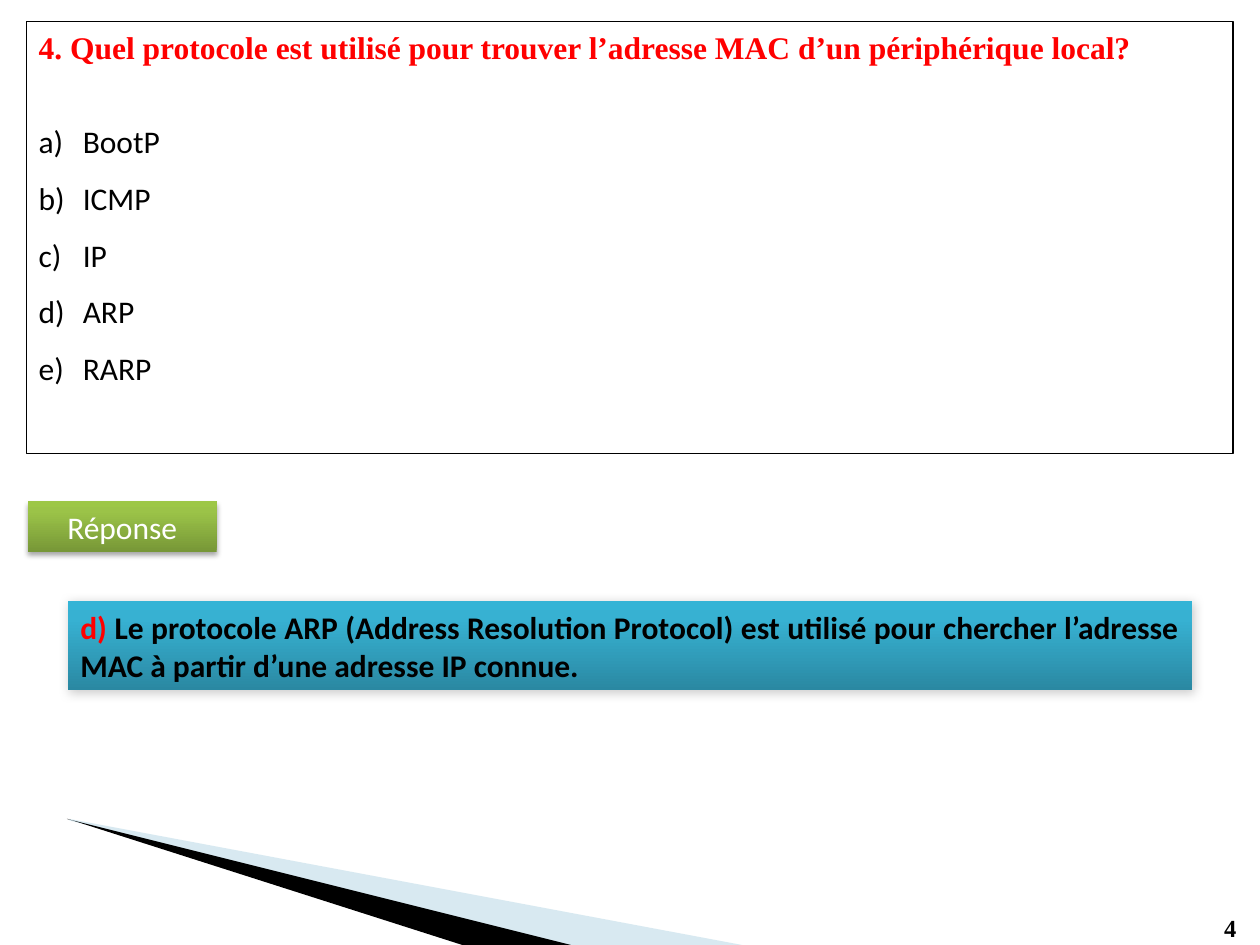
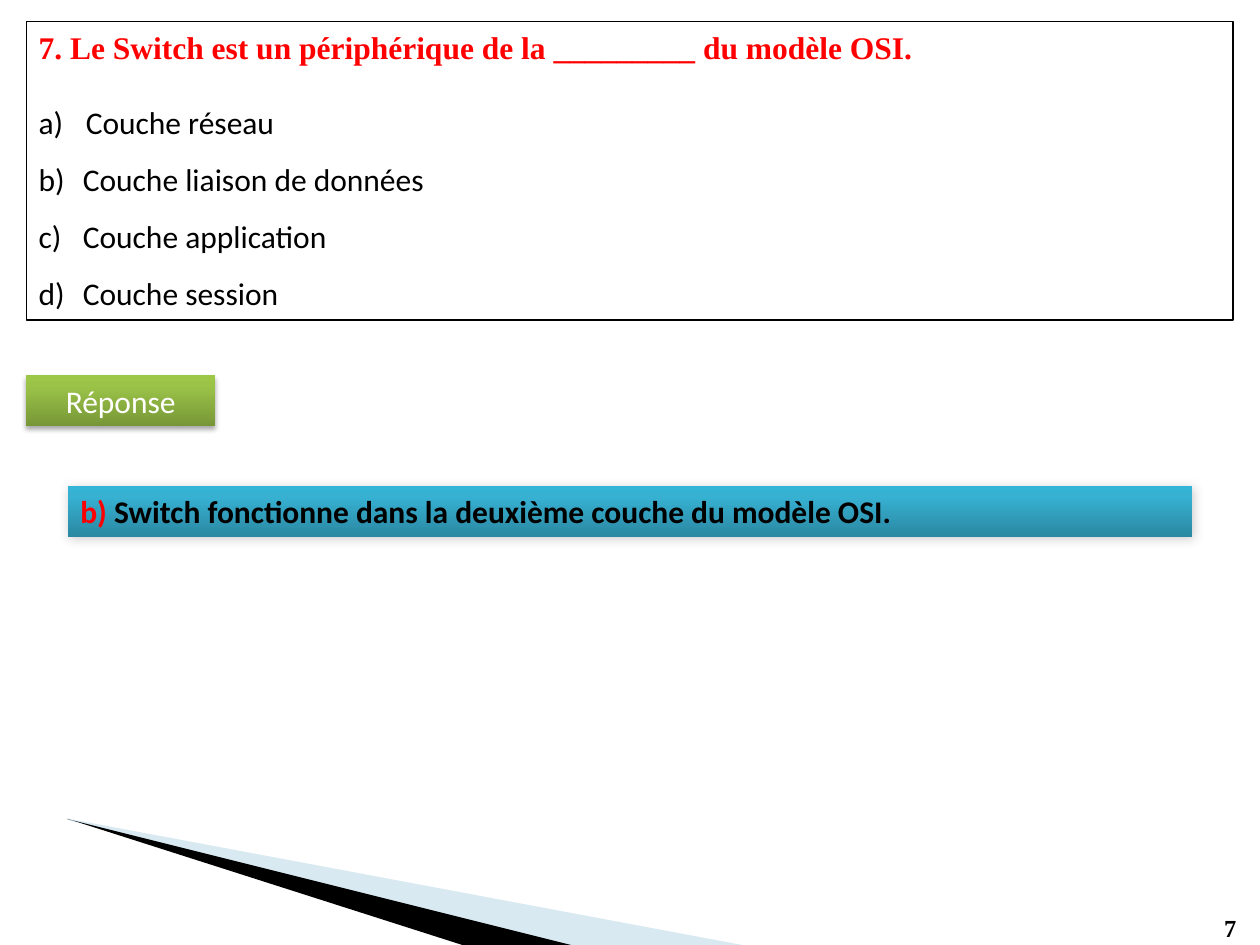
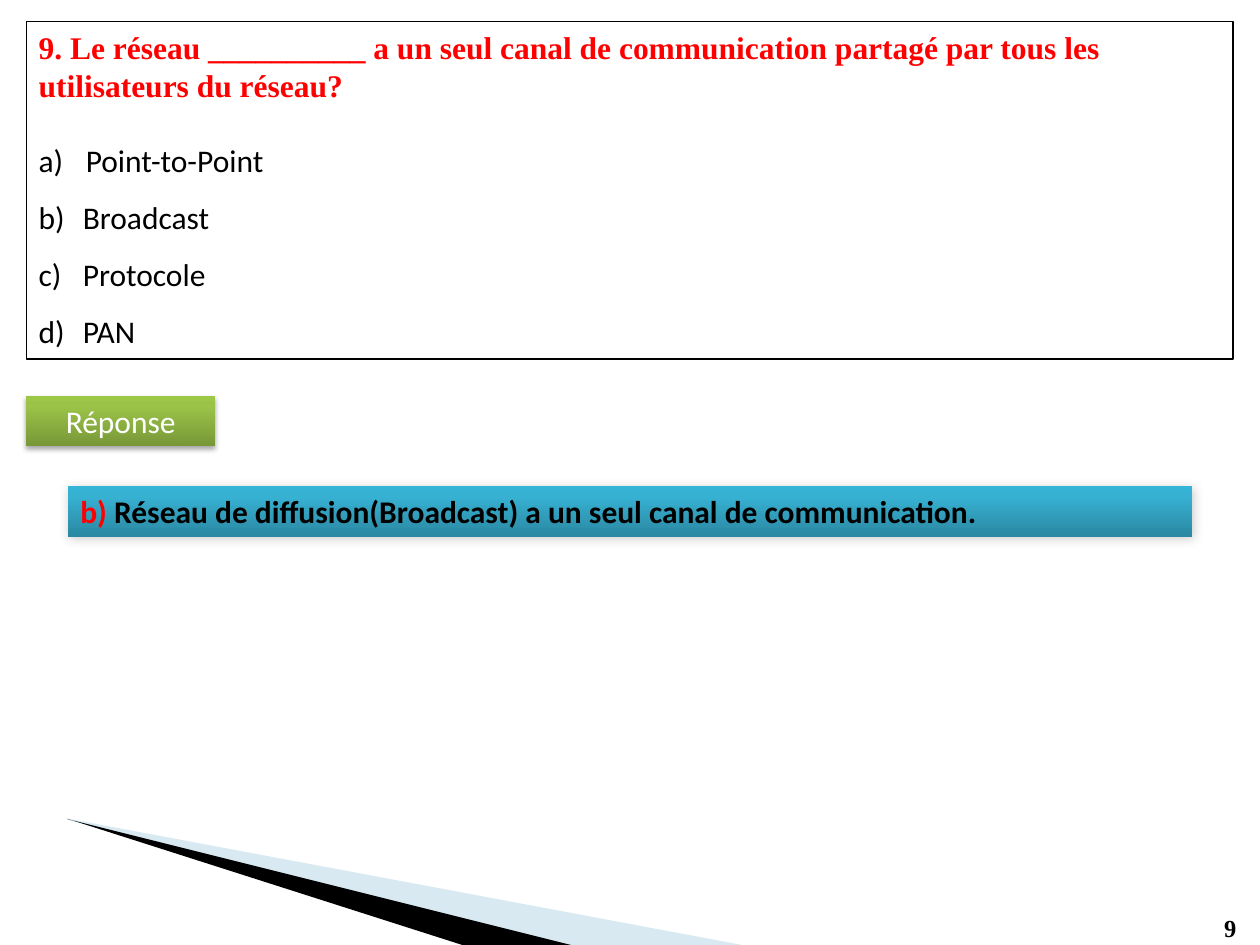
from lxml import etree
from pptx import Presentation
from pptx.dml.color import RGBColor
from pptx.enum.shapes import MSO_SHAPE
from pptx.enum.text import MSO_ANCHOR, PP_ALIGN
from pptx.oxml import parse_xml
from pptx.oxml.ns import nsdecls, qn
from pptx.util import Cm, Pt

RECTANGLE = MSO_SHAPE.RECTANGLE
TOP, MIDDLE = MSO_ANCHOR.TOP, MSO_ANCHOR.MIDDLE
LEFT, CENTER, JUSTIFY = PP_ALIGN.LEFT, PP_ALIGN.CENTER, PP_ALIGN.JUSTIFY

COLORS = {"black": "000000", "white": "FFFFFF", "red": "FF0000", "pale": "9FCADC"}
BODY_FONT, TITLE_FONT = "Calibri", "Times New Roman"
TITLE_LINE = Pt(21.7)

# Gradient stops run from the bottom edge to the top edge
GREEN = [(0, "779737"), (80, "9BC348"), (100, "9DC746")]
BLUE = [(0, "2A88A2"), (80, "37B1D2"), (100, "34B4D6")]
# Blur and distance in points, angle in degrees, opacity in percent
LABEL_SHADOW = (3.1, 1.8, 90, 35)
ANSWER_SHADOW = (6, 1, 45, 20)

WEDGES = [
    ("pale", 40, [(1.4, 16.51), (14.96, 19.05), (11.46, 19.05), (1.4, 16.54)]),
    ("black", 100, [(1.35, 16.51), (1.37, 16.51), (9.32, 19.05), (11.51, 19.05)]),
]

QUESTIONS = [
    {
        "number": "4",
        "title": "4. Quel protocole est utilisé pour trouver l’adresse MAC d’un périphérique local?",
        "options": ["BootP", "ICMP", "IP", "ARP", "RARP"],
        "first_spacing": 1.5, "first_indent": 0.89, "height": 8.71,
        "label_at": (0.56, 10.11),
        "answer": ("d) ", "Le protocole ARP (Address Resolution Protocol) est utilisé pour "
                          "chercher l’adresse MAC à partir d’une adresse IP connue."),
        "answer_top": 12.12, "answer_height": 1.8,
    },
    {
        "number": "7",
        "title": "7. Le Switch est un périphérique de la _________ du modèle OSI.",
        "options": ["Couche réseau", "Couche liaison de données", "Couche application",
                    "Couche session"],
        "first_spacing": 1.0, "first_indent": 0.95, "height": 6.02,
        "label_at": (0.53, 7.57),
        "answer": ("b) ", "Switch fonctionne dans la deuxième couche du modèle OSI."),
        "answer_top": 9.8, "answer_height": 1.02,
    },
    {
        "number": "9",
        "title": "9. Le réseau __________ a un seul canal de communication partagé par tous "
                 "les utilisateurs du réseau?",
        "options": ["Point-to-Point", "Broadcast", "Protocole", "PAN"],
        "first_spacing": 1.0, "first_indent": 0.95, "height": 6.81,
        "label_at": (0.53, 7.98),
        "answer": ("b)", " Réseau de diffusion(Broadcast) a un seul canal de communication."),
        "answer_top": 9.8, "answer_height": 1.02,
    },
]


def write(para, text, color="black", font=BODY_FONT, size=18, bold=False, align=LEFT):
    para.alignment = align
    span = para.add_run()
    span.text = text
    span.font.name = font
    span.font.size = Pt(size)
    span.font.bold = bold
    span.font.color.rgb = RGBColor.from_string(COLORS[color])


def add_box(page, left, top, width, height, stops=None, shadow=None):
    """Add an outlined box, or one with a gradient and a shadow when both are given."""
    box = page.shapes.add_shape(RECTANGLE, Cm(left), Cm(top), Cm(width), Cm(height))
    box.shadow.inherit = False
    box.text_frame.word_wrap = True
    box.text_frame.vertical_anchor = MIDDLE if stops else TOP
    if not stops:
        box.fill.background()
        box.line.color.rgb = RGBColor.from_string(COLORS["black"])
        box.line.width = Pt(0.75)
        return box
    box.line.fill.background()
    properties = box.fill._xPr
    marks = "".join(f'<a:gs pos="{place * 1000}"><a:srgbClr val="{color}"/></a:gs>'
                    for place, color in stops)
    properties.find(qn("a:prstGeom")).addnext(parse_xml(
        f'<a:gradFill {nsdecls("a")} rotWithShape="1"><a:gsLst>{marks}</a:gsLst>'
        '<a:lin ang="16200000" scaled="0"/></a:gradFill>'))
    blur, distance, angle, opacity = shadow
    properties.find(qn("a:effectLst")).append(parse_xml(
        f'<a:outerShdw {nsdecls("a")} blurRad="{Pt(blur)}" dist="{Pt(distance)}" '
        f'dir="{angle * 60000}" rotWithShape="0"><a:srgbClr val="{COLORS["black"]}">'
        f'<a:alpha val="{opacity * 1000}"/></a:srgbClr></a:outerShdw>'))
    return box


deck = Presentation()
deck.slide_width, deck.slide_height = Cm(25.4), Cm(19.05)

for question in QUESTIONS:
    page = deck.slides.add_slide(deck.slide_layouts[6])

    for color, opacity, corners in WEDGES:
        points = [(Cm(x), Cm(y)) for x, y in corners]
        builder = page.shapes.build_freeform(*points[0])
        builder.add_line_segments(points[1:])
        wedge = builder.convert_to_shape()
        wedge.shadow.inherit = False
        wedge.line.fill.background()
        wedge.fill.solid()
        wedge.fill.fore_color.rgb = RGBColor.from_string(COLORS[color])
        tint = wedge.fill._xPr.find(qn("a:solidFill"))[0]
        etree.SubElement(tint, qn("a:alpha"), val=str(opacity * 1000))

    number = page.shapes.add_textbox(Cm(24.43), Cm(18.29), Cm(0.91), Cm(0.86))
    number.text_frame.word_wrap = True
    write(number.text_frame.paragraphs[0], question["number"],
          font=TITLE_FONT, size=14, bold=True)

    frame = add_box(page, 0.53, 0.43, 24.33, question["height"]).text_frame
    title = frame.paragraphs[0]
    title.line_spacing = TITLE_LINE
    title.space_after = TITLE_LINE
    write(title, question["title"], color="red", font=TITLE_FONT, bold=True)
    for index, option in enumerate(question["options"]):
        para = frame.add_paragraph()
        write(para, option)
        para.line_spacing = 1.5 if index else question["first_spacing"]
        indent = Cm(0.89 if index else question["first_indent"])
        layout = para._p.get_or_add_pPr()
        layout.set("marL", str(indent))
        layout.set("indent", str(-indent))
        etree.SubElement(layout, qn("a:buFont"), typeface="+mj-lt")
        etree.SubElement(layout, qn("a:buAutoNum"), type="alphaLcParenR")

    label = add_box(page, *question["label_at"], 3.81, 1.02, GREEN, LABEL_SHADOW)
    write(label.text_frame.paragraphs[0], "Réponse", color="white", align=CENTER)

    answer = add_box(page, 1.37, question["answer_top"], 22.66, question["answer_height"],
                     BLUE, ANSWER_SHADOW)
    for text, color in zip(question["answer"], ("red", "black")):
        write(answer.text_frame.paragraphs[0], text, color=color, bold=True, align=JUSTIFY)

deck.save("out.pptx")
